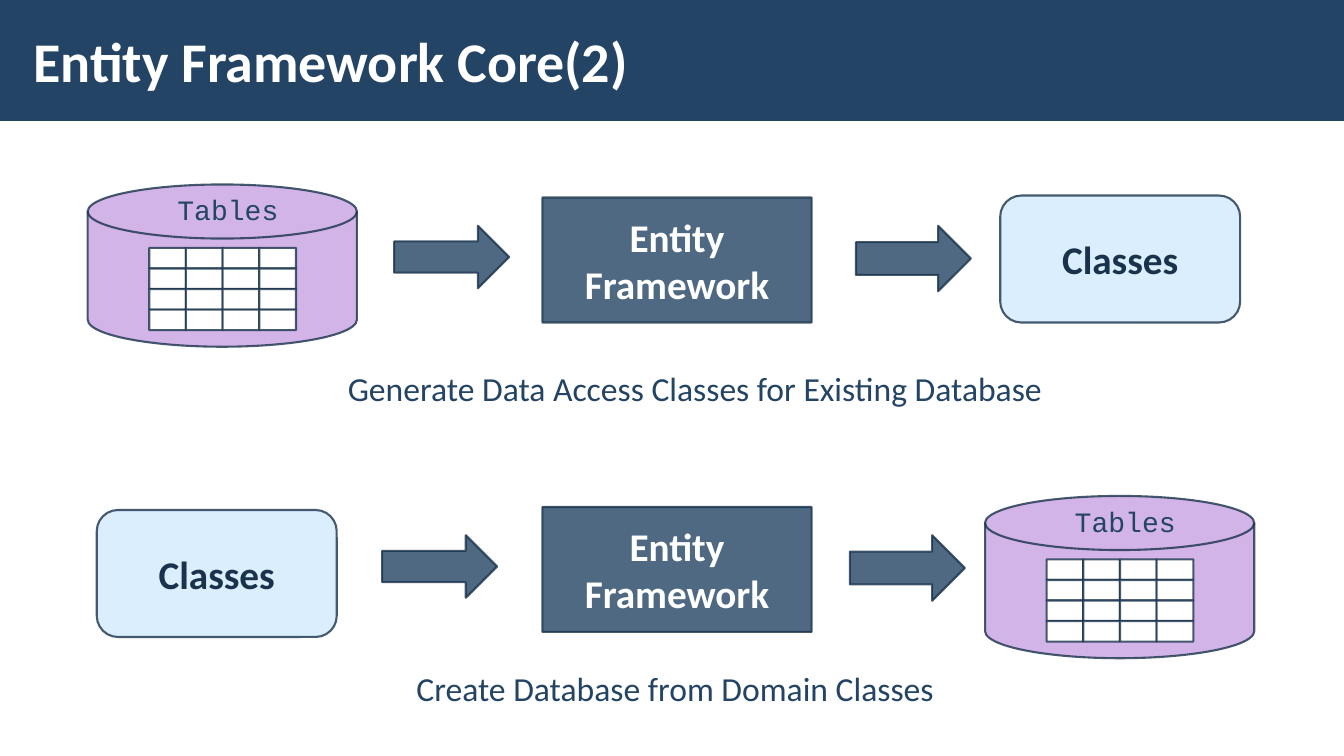
"""Build a slide showing the database-first and code-first flows of an object mapper."""
from dataclasses import dataclass

from lxml import etree
from pptx import Presentation
from pptx.dml.color import RGBColor
from pptx.enum.shapes import MSO_SHAPE
from pptx.enum.text import MSO_ANCHOR, MSO_AUTO_SIZE, PP_ALIGN
from pptx.oxml.ns import qn
from pptx.util import Inches, Pt

RECT, ROUND = MSO_SHAPE.RECTANGLE, MSO_SHAPE.ROUNDED_RECTANGLE
ARROW, DISK = MSO_SHAPE.RIGHT_ARROW, MSO_SHAPE.FLOWCHART_MAGNETIC_DISK
TOP, MIDDLE = MSO_ANCHOR.TOP, MSO_ANCHOR.MIDDLE
LEFT, CENTER = PP_ALIGN.LEFT, PP_ALIGN.CENTER
FIXED, GROW = MSO_AUTO_SIZE.NONE, MSO_AUTO_SIZE.SHAPE_TO_FIT_TEXT


@dataclass(frozen=True)
class Theme:
    """Colours, fonts and type sizes of the slide."""
    navy: str = "234465"
    ink: str = "1A334C"
    lilac: str = "C7A2E3"
    sky: str = "DAEEFE"
    white: str = "FFFFFF"
    font: str = "Calibri"
    mono: str = "Courier New"
    title: int = 40
    block: int = 28
    caption: int = 24
    label: int = 20


T = Theme()


def write(sp, text, size, color, font=T.font, bold=False, align=LEFT, anchor=TOP,
          wrap=True, fit=FIXED, inset=(0.1, 0.05), spacing=None):
    """Put formatted text into a shape."""
    tf = sp.text_frame
    tf.auto_size, tf.word_wrap, tf.vertical_anchor = fit, wrap, anchor
    tf.margin_left = tf.margin_right = Inches(inset[0])
    tf.margin_top = tf.margin_bottom = Inches(inset[1])
    p = tf.paragraphs[0]
    p.text, p.alignment = text, align
    if spacing:
        p.line_spacing = spacing
    for r in p.runs:
        r.font.name, r.font.size, r.font.bold = font, Pt(size), bold
        r.font.color.rgb = RGBColor.from_string(color)


def add_box(shapes, kind, x, y, w, h, fill, sheer=False, outlined=True):
    """Add a preset shape, with a sheer fill and an outline if asked."""
    sp = shapes.add_shape(kind, Inches(x), Inches(y), Inches(w), Inches(h))
    sp.shadow.inherit = False
    sp.fill.solid()
    sp.fill.fore_color.rgb = RGBColor.from_string(fill)
    if outlined:
        sp.line.color.rgb = RGBColor.from_string(T.ink)
        sp.line.width = Pt(1.5)
    else:
        sp.line.fill.background()
    colors = list(sp.element.spPr.iter(qn("a:srgbClr")))
    for color in colors if sheer else colors[1:]:
        etree.SubElement(color, qn("a:alpha"), val="80000")
    return sp


prs = Presentation()
prs.slide_width, prs.slide_height = Inches(13.33), Inches(7.5)
s = prs.slides.add_slide(prs.slide_layouts[5])

bar = add_box(s.shapes, RECT, 0, 0, 13.33, 1.2, T.navy, outlined=False)
s.shapes.element.insert(2, bar.element)
title = s.shapes.title
title.left, title.top = Inches(0.21), Inches(0.11)
title.width, title.height = Inches(10.4), Inches(0.97)
write(title, "Entity Framework Core(2)", T.title, T.white, bold=True,
      anchor=MIDDLE, inset=(0.12, 0.04))

FLOWS = [
    dict(mapper_y=1.96, disk=(0.87, 1.83), classes=(9.92, 1.94), arrows=(3.91, 8.49),
         caption=("Generate Data Access Classes for Existing Database", 3.29, 3.49, 7.27)),
    dict(mapper_y=5.03, disk=(9.77, 4.92), classes=(0.96, 5.06), arrows=(3.79, 8.43),
         caption=("Create Database from Domain Classes", 3.97, 6.47, 5.5)),
]
ROWS, COLS = 4, 4
CELL_W, CELL_H = 0.364, 0.204
LOOSE = dict(wrap=False, fit=GROW, inset=(0.16, 0.12), spacing=1.1)
BLOCK = dict(bold=True, align=CENTER, anchor=MIDDLE)

for flow in FLOWS:
    x, y = flow["disk"]
    database = s.shapes.add_group_shape().shapes
    add_box(database, DISK, x, y, 2.67, 1.61, T.lilac, sheer=True)
    for row in range(ROWS):
        for col in range(COLS):
            add_box(database, RECT, x + 0.61 + col * CELL_W, y + 0.63 + row * CELL_H,
                    CELL_W, CELL_H, T.white)
    label = database.add_textbox(Inches(x + 0.73), Inches(y - 0.07), Inches(1.36), Inches(0.69))
    write(label, "Tables", T.label, T.navy, font=T.mono, **LOOSE)

    y = flow["mapper_y"]
    for x, h in zip(flow["arrows"], (0.62, 0.65)):
        add_box(s.shapes, ARROW, x, y + 0.28, 1.14, h, T.navy, sheer=True)
    mapper = add_box(s.shapes, RECT, 5.38, y, 2.67, 1.24, T.navy, sheer=True)
    write(mapper, "Entity\vFramework", T.block, T.white, **BLOCK)
    classes = add_box(s.shapes, ROUND, *flow["classes"], 2.38, 1.26, T.sky)
    write(classes, "Classes", T.block, T.ink, **BLOCK)

    text, x, y, w = flow["caption"]
    caption = s.shapes.add_textbox(Inches(x), Inches(y), Inches(w), Inches(0.67))
    write(caption, text, T.caption, T.navy, **LOOSE)

prs.save("out.pptx")
